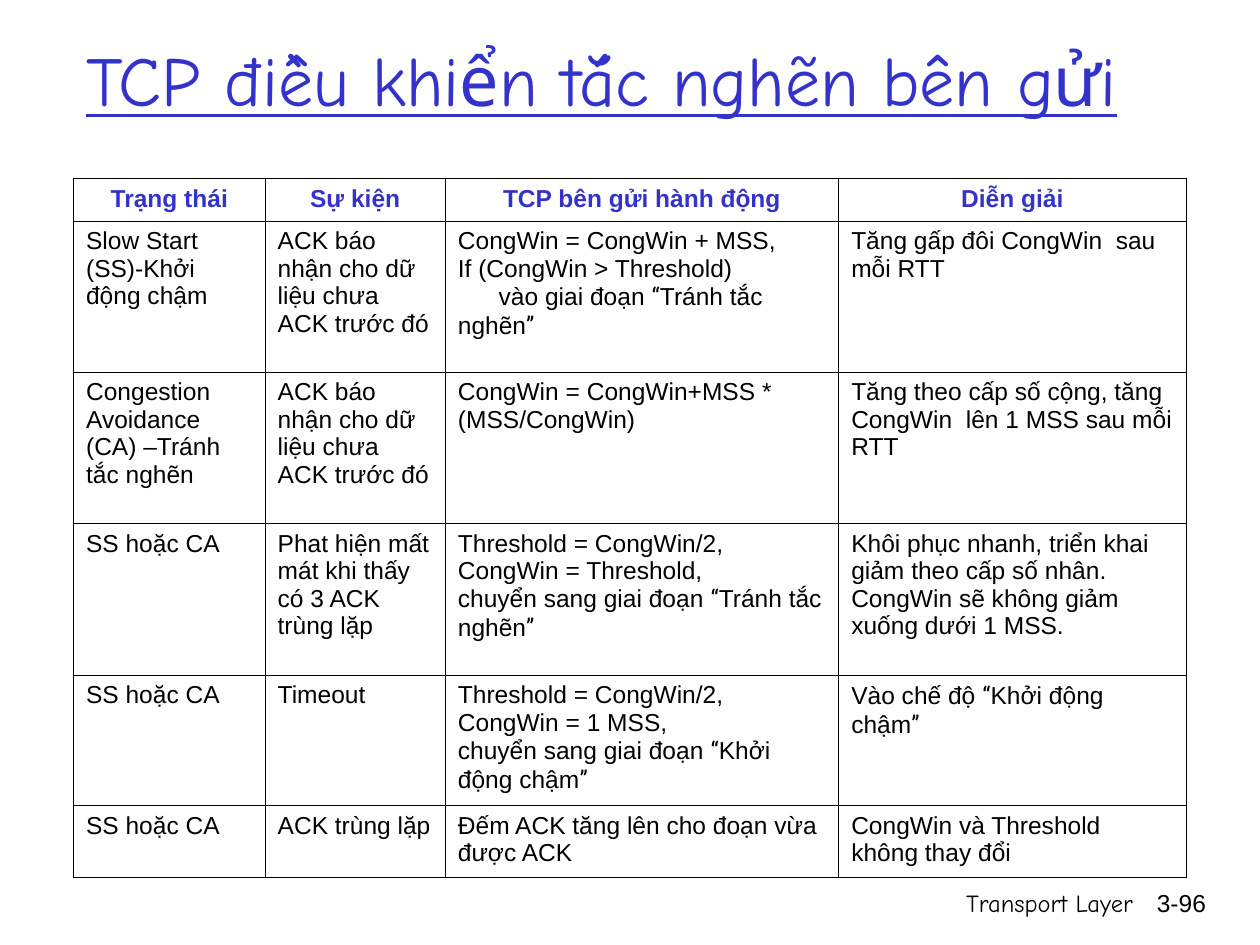
import itertools
from dataclasses import dataclass

import pptx
import pptx.dml.color
import pptx.enum.text
import pptx.oxml
import pptx.oxml.ns
import pptx.util

Pt = pptx.util.Pt
ALIGN = pptx.enum.text.PP_ALIGN
ANCHOR = pptx.enum.text.MSO_ANCHOR
BLUE = "3333CC"
BLACK = "000000"
QUOTES = "“”"
INDENT_MARK = "\t"


@dataclass(frozen=True)
class TextStyle:
    font: str = "Arial"
    size: float = 14
    color: str = BLACK
    bold: bool = False
    underline: bool = False
    alignment: ALIGN = ALIGN.LEFT


@dataclass(frozen=True)
class Footer:
    text: str
    left: float
    width: float
    style: TextStyle


TITLE_STYLE = TextStyle("Comic Neue", 40, BLUE, underline=True)
HEADER_STYLE = TextStyle(color=BLUE, bold=True, alignment=ALIGN.CENTER)
BODY_STYLE = TextStyle()

FOOTERS = [
    Footer("Transport Layer", 426.24, 228.24, TextStyle("Comic Neue", alignment=ALIGN.RIGHT)),
    Footer("3-96", 642.96, 53.28, TextStyle(alignment=ALIGN.RIGHT)),
]

COLUMN_WIDTHS = [109.5, 103, 224.8, 198.5]
ROW_HEIGHTS = [24.3, 86.5, 86.5, 86.5, 74.7, 41]
NEW_ACK = "ACK báo nhận cho dữ liệu chưa ACK trước đó"
EITHER_STATE = "SS hoặc CA"
ROWS = [
    ["Trạng thái", "Sự kiện", "TCP bên gửi hành động", "Diễn giải"],
    [
        "Slow Start (SS)-Khởi động chậm",
        NEW_ACK,
        "CongWin = CongWin + MSS,\nIf (CongWin > Threshold)\n"
        "\tvào giai đoạn “Tránh tắc nghẽn”",
        "Tăng gấp đôi CongWin  sau mỗi RTT",
    ],
    [
        "Congestion\nAvoidance (CA) –Tránh tắc nghẽn",
        NEW_ACK,
        "CongWin = CongWin+MSS * (MSS/CongWin)",
        "Tăng theo cấp số cộng, tăng CongWin  lên 1 MSS sau mỗi RTT",
    ],
    [
        EITHER_STATE,
        "Phat hiện mất mát khi thấy có 3 ACK trùng lặp",
        "Threshold = CongWin/2,\nCongWin = Threshold,\n"
        "chuyển sang giai đoạn “Tránh tắc nghẽn”",
        "Khôi phục nhanh, triển khai giảm theo cấp số nhân. "
        "CongWin sẽ không giảm xuống dưới 1 MSS.",
    ],
    [
        EITHER_STATE,
        "Timeout",
        "Threshold = CongWin/2,\nCongWin = 1 MSS,\n"
        "chuyển sang giai đoạn “Khởi động chậm”",
        "Vào chế độ “Khởi động chậm”",
    ],
    [
        EITHER_STATE,
        "ACK trùng lặp",
        "Đếm ACK tăng lên cho đoạn vừa được ACK",
        "CongWin và Threshold không thay đổi",
    ],
]


def rgb(color: str) -> pptx.dml.color.RGBColor:
    return pptx.dml.color.RGBColor.from_string(color)


def set_attributes(target: object, values: dict) -> None:
    for name, value in values.items():
        setattr(target, name, value)


def write_text(frame, text: str, style: TextStyle) -> None:
    frame.word_wrap = True
    for index, line in enumerate(text.split("\n")):
        paragraph = frame.add_paragraph() if index else frame.paragraphs[0]
        paragraph.alignment = style.alignment
        if line.startswith(INDENT_MARK):
            properties = paragraph._p.get_or_add_pPr()
            properties.set("marL", "0")
            properties.set("indent", str(int(Pt(23.34))))
        pieces = itertools.groupby(line.lstrip(INDENT_MARK), key=lambda letter: letter in QUOTES)
        for is_quote, letters in pieces:
            run = paragraph.add_run()
            run.text = "".join(letters)
            set_attributes(run.font, {
                "name": "Roboto Condensed" if is_quote else style.font,
                "size": Pt(style.size),
                "bold": style.bold,
                "underline": style.underline,
            })
            run.font.color.rgb = rgb(style.color)


def set_borders(cell, widths: dict[str, float]) -> None:
    properties = cell._tc.get_or_add_tcPr()
    for index, (side, width) in enumerate(widths.items()):
        line = pptx.oxml.parse_xml(
            f'<a:{side} {pptx.oxml.ns.nsdecls("a")} w="{int(Pt(width))}">'
            f'<a:solidFill><a:srgbClr val="{BLACK}"/></a:solidFill></a:{side}>'
        )
        properties.insert(index, line)


def add_title(slide) -> None:
    title = slide.shapes.title
    set_attributes(title, {"left": Pt(42), "top": Pt(0), "width": Pt(612), "height": Pt(90)})
    set_attributes(title.text_frame, {
        "vertical_anchor": ANCHOR.MIDDLE,
        "auto_size": pptx.enum.text.MSO_AUTO_SIZE.NONE,
    })
    write_text(title.text_frame, "TCP điều khiển tắc nghẽn bên gửi", TITLE_STYLE)


def add_footer(slide, footer: Footer) -> None:
    box = slide.shapes.add_textbox(Pt(footer.left), Pt(504), Pt(footer.width), Pt(36))
    write_text(box.text_frame, footer.text, footer.style)


def add_state_table(slide) -> None:
    table = slide.shapes.add_table(
        len(ROWS), len(COLUMN_WIDTHS), Pt(42), Pt(102),
        Pt(sum(COLUMN_WIDTHS)), Pt(sum(ROW_HEIGHTS)),
    ).table
    set_attributes(table, {"first_row": False, "horz_banding": False})
    for column, width in zip(table.columns, COLUMN_WIDTHS):
        column.width = Pt(width)
    last_row = len(ROWS) - 1
    for row_index, texts in enumerate(ROWS):
        table.rows[row_index].height = Pt(ROW_HEIGHTS[row_index])
        style = BODY_STYLE if row_index else HEADER_STYLE
        for column_index, text in enumerate(texts):
            cell = table.cell(row_index, column_index)
            cell.fill.background()
            cell.vertical_anchor = ANCHOR.TOP
            write_text(cell.text_frame, text, style)
            set_borders(cell, {
                "lnL": 0.34,
                "lnR": 0.34,
                "lnT": 0.96 if row_index == 0 else 0.45,
                "lnB": 0.96 if row_index == last_row else 0.45,
            })


def main() -> None:
    presentation = pptx.Presentation()
    set_attributes(presentation, {"slide_width": Pt(720), "slide_height": Pt(540)})
    slide = presentation.slides.add_slide(presentation.slide_layouts[5])
    for footer in FOOTERS:
        add_footer(slide, footer)
    add_title(slide)
    add_state_table(slide)
    presentation.save("out.pptx")


if __name__ == "__main__":
    main()
